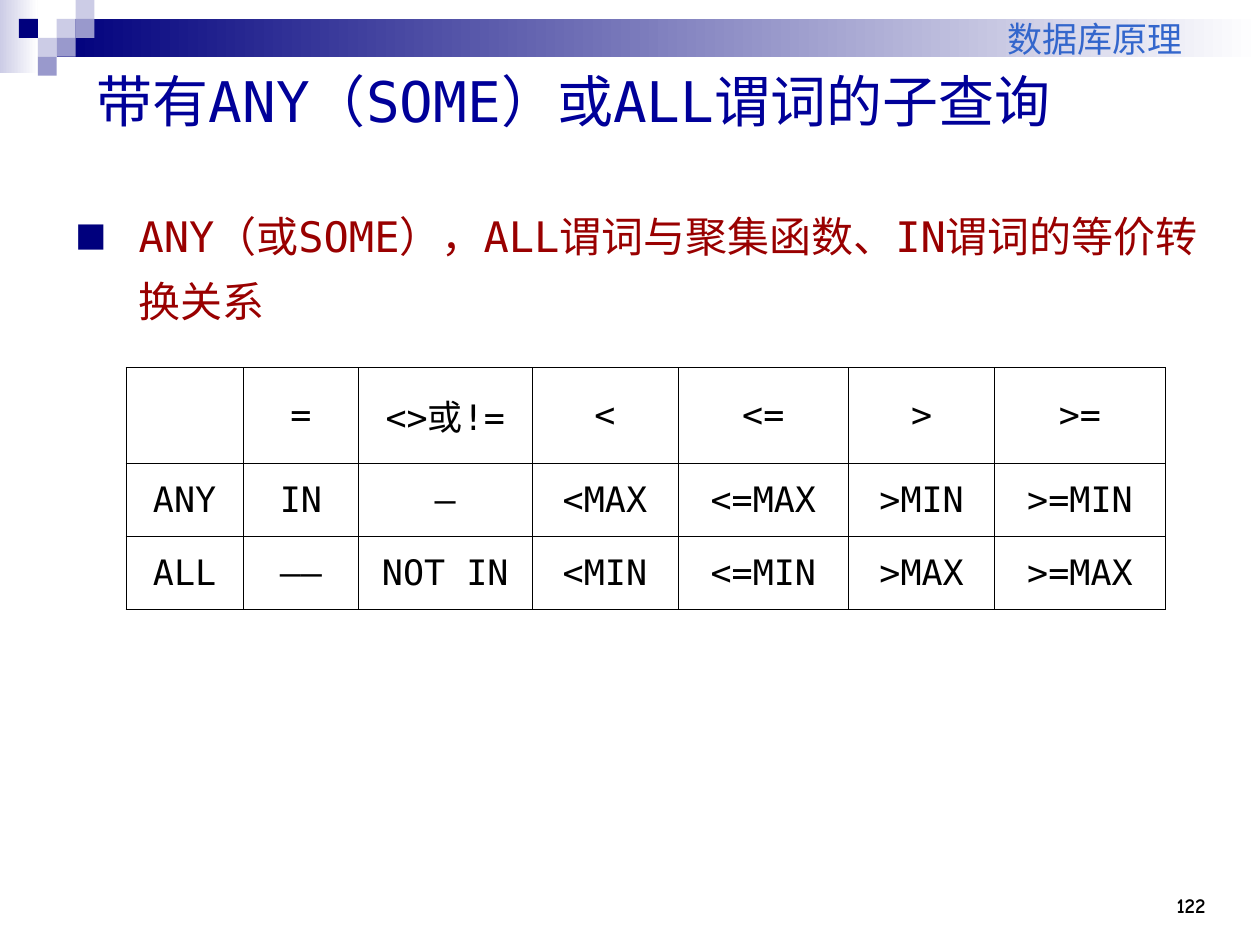
from lxml import etree
from pptx import Presentation
from pptx.dml import color
from pptx.enum import shapes, text
from pptx.oxml import ns
from pptx.util import Pt

MONO, COMIC, CHINESE = "DejaVu Sans Mono", "Comic Neue", "Noto Sans CJK SC"
NAVY, VIOLET, LILAC, WHITE = "00007D", "9999CC", "CCCCE6", "FFFFFF"
ROWS = [
    ["", "=", "<>或!=", "<", "<=", ">", ">="],
    ["ANY", "IN", "—", "<MAX", "<=MAX", ">MIN", ">=MIN"],
    ["ALL", "——", "NOT IN", "<MIN", "<=MIN", ">MAX", ">=MAX"],
]
COLUMN_WIDTHS = [67, 66, 99, 83.5, 97.5, 83.5, 97.5]
ROW_HEIGHTS = [55, 41.7, 41.7]


def rgb(value):
    return color.RGBColor.from_string(value)


def child(parent, tag, **attributes):
    return etree.SubElement(parent, ns.qn(tag), attributes)


def write(frame, words, size, font, ink, align, bold=False):
    frame.text = words
    para = frame.paragraphs[0]
    para.alignment = align
    for span in para.runs:
        span.font.size = Pt(size)
        span.font.name = font
        span.font.bold = bold
        span.font.color.rgb = rgb(ink)
        child(span.font._element, "a:ea", typeface=CHINESE)
    return para


def place(shape, left, top, width, height):
    shape.left, shape.top = Pt(left), Pt(top)
    shape.width, shape.height = Pt(width), Pt(height)


def add_block(page, left, top, width, height, start, end=None):
    block = page.shapes.add_shape(
        shapes.MSO_SHAPE.RECTANGLE, Pt(left), Pt(top), Pt(width), Pt(height))
    block.shadow.inherit = False
    block.line.fill.background()
    if end is None:
        block.fill.solid()
        block.fill.fore_color.rgb = rgb(start)
        return
    block.fill.gradient()
    block.fill.gradient_angle = 0
    for stop, position, ink in zip(block.fill.gradient_stops, (0, 1), (start, end)):
        stop.position = position
        stop.color.rgb = rgb(ink)


def add_banner(page, left, top, width, unit):
    add_block(page, left, top, 2 * unit, 42, LILAC, WHITE)
    add_block(page, left + 3 * unit, top + unit, width - 3 * unit, 2 * unit, NAVY, WHITE)
    squares = [(3, 1, LILAC), (4, 0, LILAC), (4, 1, VIOLET), (2, 2, LILAC),
               (1, 1, NAVY), (3, 2, VIOLET), (2, 3, VIOLET)]
    for column, row, ink in squares:
        add_block(page, left + column * unit, top + row * unit, unit, unit, ink)


def add_label(page, left, top, width, height, words, size, ink, bold=False, margin=7.2):
    box = page.shapes.add_textbox(Pt(left), Pt(top), Pt(width), Pt(height))
    frame = box.text_frame
    frame.word_wrap = True
    frame.vertical_anchor = text.MSO_ANCHOR.BOTTOM
    frame.margin_right = Pt(margin)
    write(frame, words, size, COMIC, ink, text.PP_ALIGN.RIGHT, bold)


def fill_title(title, left, top, width, height):
    place(title, left, top, width, height)
    frame = title.text_frame
    frame.auto_size = text.MSO_AUTO_SIZE.NONE
    frame.vertical_anchor = text.MSO_ANCHOR.MIDDLE
    write(frame, "带有ANY（SOME）或ALL谓词的子查询", 32, MONO, "000099", text.PP_ALIGN.LEFT)


def fill_body(body, left, top, width, height):
    place(body, left, top, width, height)
    frame = body.text_frame
    frame.auto_size = text.MSO_AUTO_SIZE.NONE
    para = write(frame, "ANY（或SOME），ALL谓词与聚集函数、IN谓词的等价转换关系",
                 24, MONO, "990000", text.PP_ALIGN.LEFT)
    properties = para._p.get_or_add_pPr()
    properties.set("marL", str(Pt(36)))
    properties.set("indent", str(Pt(-36)))
    child(child(properties, "a:buClr"), "a:srgbClr", val=NAVY)
    child(properties, "a:buSzPct", val="75000")
    child(properties, "a:buFont", typeface=CHINESE)
    child(properties, "a:buChar", char="■")
    para.line_spacing = 1.3
    para.space_before = Pt(0)


def format_cell(cell, words):
    write(cell.text_frame, words, 20, MONO, "000000", text.PP_ALIGN.CENTER)
    cell.vertical_anchor = text.MSO_ANCHOR.MIDDLE
    properties = cell._tc.get_or_add_tcPr()
    for side in ("a:lnL", "a:lnR", "a:lnT", "a:lnB"):
        border = child(properties, side, w=str(Pt(0.45)))
        child(child(border, "a:solidFill"), "a:srgbClr", val="000000")
    cell.fill.background()


def add_predicates(page, left, top):
    table = page.shapes.add_table(
        len(ROW_HEIGHTS), len(COLUMN_WIDTHS), Pt(left), Pt(top),
        Pt(sum(COLUMN_WIDTHS)), Pt(sum(ROW_HEIGHTS))).table
    table.first_row = table.horz_banding = False
    for column, width in zip(table.columns, COLUMN_WIDTHS):
        column.width = Pt(width)
    for row, height, entries in zip(table.rows, ROW_HEIGHTS, ROWS):
        row.height = Pt(height)
        for cell, words in zip(row.cells, entries):
            format_cell(cell, words)


def main():
    deck = Presentation()
    deck.slide_width, deck.slide_height = Pt(720), Pt(540)
    page = deck.slides.add_slide(deck.slide_layouts[1])
    add_banner(page, 0, 0, 720, 10.8)
    add_label(page, 636, 492, 60, 36, "122", 12, "000000", bold=True)
    add_label(page, 276, 0, 426, 37.5, "数据库原理", 20, "3366CC", margin=26)
    fill_title(page.shapes.title, 48, 30, 648, 54)
    fill_body(page.placeholders[1], 36, 108, 660, 366)
    add_predicates(page, 72, 210)
    deck.save("out.pptx")


if __name__ == "__main__":
    main()
